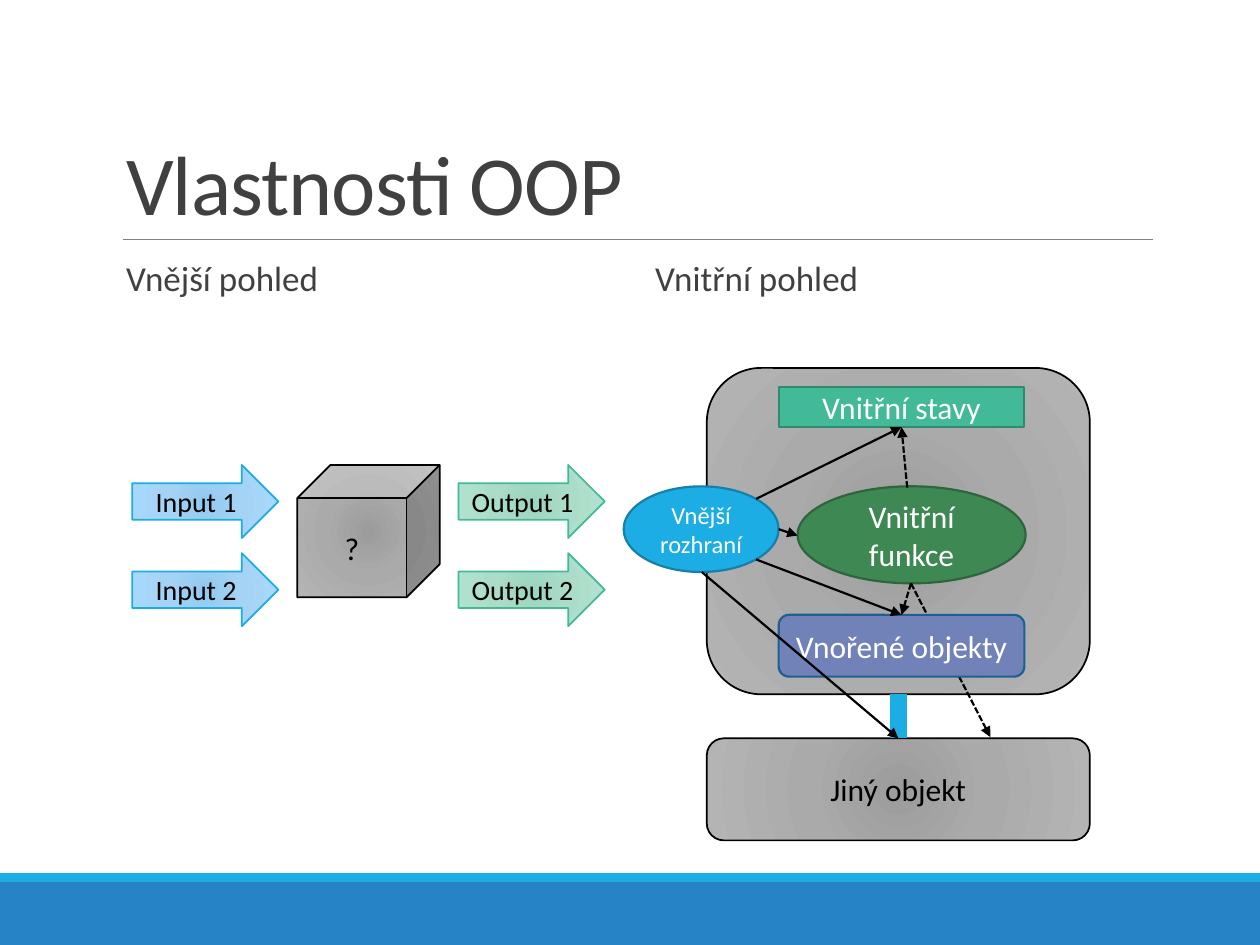
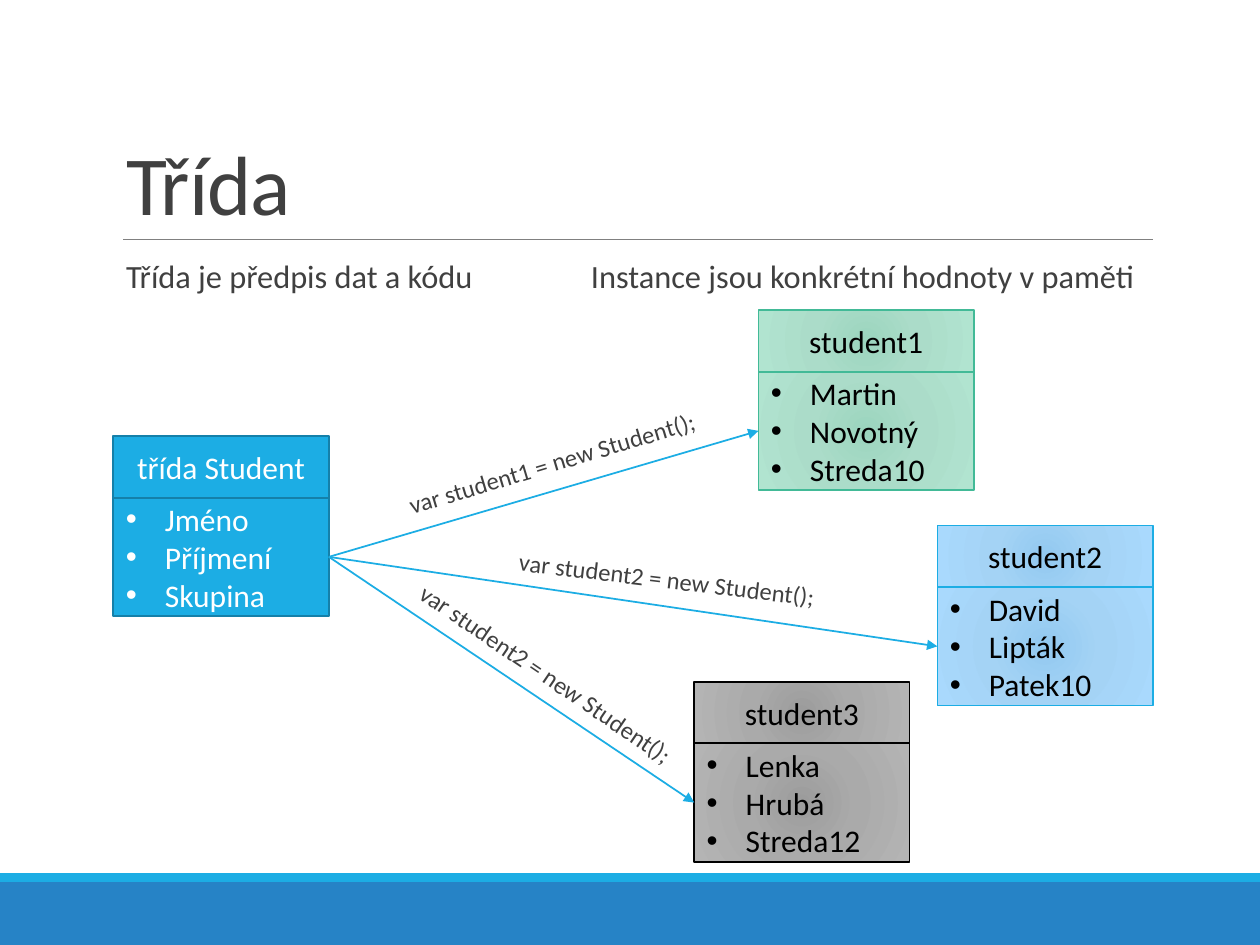
from lxml.etree import SubElement
from pptx import Presentation
from pptx.dml.color import RGBColor
from pptx.enum.dml import MSO_LINE
from pptx.enum.shapes import MSO_CONNECTOR, MSO_SHAPE as Preset
from pptx.enum.text import MSO_ANCHOR as Anchor, MSO_AUTO_SIZE, PP_ALIGN as Align
from pptx.oxml.ns import qn
from pptx.util import Inches, Pt

FONT = "Calibri"
COLORS = {
    "text": "404040", "black": "000000", "white": "FFFFFF", "rule": "808080",
    "band": "2683C6", "sky": "1CADE4", "sky_edge": "1580A9",
    "teal": "42BA97", "teal_edge": "318A70", "green": "3E8853", "green_edge": "2E653D",
    "violet": "7182B8", "violet_edge": "1C6192",
}
# Centre, middle and rim colour of each radial fill
GRADIENTS = {
    "gray": ("9C9C9C", "AAAAAA", "B4B4B4"),
    "pale_blue": ("92C9F0", "A4D3F5", "A9D9FD"),
    "pale_teal": ("9BD5BE", "ABDCC9", "B1E4D0"),
}
STOPS = (0, 45000, 100000)


def rgb(name):
    return RGBColor.from_string(COLORS[name])


def write_text(frame, text, size=18, color="black", align=Align.LEFT, anchor=Anchor.TOP,
               line_spacing=None, left_indent=0, bullet=None, tracking=None, margins=(0.1, 0.05)):
    """Fill a text frame with one paragraph per line of text."""
    frame.word_wrap = True
    frame.auto_size = MSO_AUTO_SIZE.NONE
    frame.vertical_anchor = anchor
    frame.margin_left = frame.margin_right = Inches(margins[0])
    frame.margin_top = frame.margin_bottom = Inches(margins[1])
    for index, line in enumerate(text.split("\n")):
        paragraph = frame.paragraphs[0] if index == 0 else frame.add_paragraph()
        paragraph.alignment = align
        paragraph.space_before = Pt(0)
        if line_spacing:
            paragraph.line_spacing = line_spacing
        properties = paragraph._p.get_or_add_pPr()
        properties.set("marL", str(Inches(left_indent)))
        properties.set("indent", str(Inches(-left_indent if bullet else 0)))
        if bullet:
            SubElement(properties, qn("a:buFont"), typeface="Arial")
            SubElement(properties, qn("a:buChar"), char=bullet)
        else:
            SubElement(properties, qn("a:buNone"))
        run = paragraph.add_run()
        run.text = line
        run.font.name = FONT
        run.font.size = Pt(size)
        run.font.color.rgb = rgb(color)
        if tracking:
            run._r.get_or_add_rPr().set("spc", str(tracking))


class Deck:
    def __init__(self):
        self.presentation = Presentation()
        self.presentation.slide_width = Inches(10)
        self.presentation.slide_height = Inches(7.5)
        self.slide = None

    def new_slide(self, title):
        layout = self.presentation.slide_layouts.get_by_name("Two Content")
        self.slide = self.presentation.slides.add_slide(layout)
        self.shape(Preset.RECTANGLE, (0, 7, 10, 0.5), "band")
        self.shape(Preset.RECTANGLE, (0, 6.93, 10, 0.07), "sky")
        self.line((0.98, 1.9), (9.15, 1.9), color="rule", width=0.5, arrow=False)
        self.placeholder(0, title, (0.9, 0.31, 8.25, 1.59), size=48, color="text",
                         anchor=Anchor.BOTTOM, line_spacing=0.85, tracking=-50)

    def placeholder(self, index, text, box, **text_format):
        shape = self.slide.placeholders[index]
        shape.left, shape.top, shape.width, shape.height = map(Inches, box)
        write_text(shape.text_frame, text, **text_format)

    def heading(self, index, text, box, size):
        self.placeholder(index, text, box, size=size, color="text", line_spacing=0.9,
                         left_indent=0.1, margins=(0, 0.05))

    def shape(self, preset, box, fill, edge=None, text=None, parent=None, **text_format):
        shape = (parent or self.slide).shapes.add_shape(preset, *map(Inches, box))
        shape.shadow.inherit = False
        if fill in GRADIENTS:
            self.radial_fill(shape, GRADIENTS[fill])
        else:
            shape.fill.solid()
            shape.fill.fore_color.rgb = rgb(fill)
        if edge:
            shape.line.color.rgb = rgb(edge)
            shape.line.width = Pt(1 if fill in GRADIENTS else 1.25)
        else:
            shape.line.fill.background()
        if text:
            text_format = {"align": Align.CENTER, "anchor": Anchor.MIDDLE,
                           "color": "black" if fill in GRADIENTS else "white"} | text_format
            write_text(shape.text_frame, text, **text_format)
        return shape

    def radial_fill(self, shape, colors):
        shape.fill.gradient()
        gradient = shape._element.spPr.find(qn("a:gradFill"))
        for child in list(gradient):
            gradient.remove(child)
        stop_list = SubElement(gradient, qn("a:gsLst"))
        for position, color in zip(STOPS, colors):
            stop = SubElement(stop_list, qn("a:gs"), pos=str(position))
            SubElement(stop, qn("a:srgbClr"), val=color)
        circle = SubElement(gradient, qn("a:path"), {"path": "circle"})
        SubElement(circle, qn("a:fillToRect"), dict.fromkeys("ltrb", "100000"))

    def line(self, start, end, color="black", width=1.25, dashed=False, arrow=True):
        """Each end is a point (x, y) or a pair (shape, side)."""
        joins = [not isinstance(place[0], (int, float)) for place in (start, end)]
        points = [(0, 0) if joined else place for joined, place in zip(joins, (start, end))]
        connector = self.slide.shapes.add_connector(
            MSO_CONNECTOR.STRAIGHT, *(Inches(value) for point in points for value in point))
        if joins[0]:
            connector.begin_connect(*start)
        if joins[1]:
            connector.end_connect(*end)
        connector.line.color.rgb = rgb(color)
        connector.line.width = Pt(width)
        if dashed:
            connector.line.dash_style = MSO_LINE.SQUARE_DOT
        if arrow:
            SubElement(connector.line._get_or_add_ln(), qn("a:tailEnd"), type="triangle")
        SubElement(connector._element.spPr, qn("a:effectLst"))

    def label(self, text, box, rotation):
        text_box = self.slide.shapes.add_textbox(*map(Inches, box))
        text_box.rotation = rotation
        write_text(text_box.text_frame, text, size=14, color="text", line_spacing=0.7,
                   left_indent=0.1, margins=(0, 0.05))

    def record(self, left, top, name, fields, fill, edge):
        """A name box over a list of fields; returns the list box."""
        group = self.slide.shapes.add_group_shape()
        self.shape(Preset.RECTANGLE, (left, top, 1.71, 0.49), fill, edge, name, group)
        return self.shape(Preset.RECTANGLE, (left, top + 0.49, 1.71, 0.94), fill, edge,
                          "\n".join(fields), group, align=Align.LEFT, bullet="•", left_indent=0.31)


def build_properties(deck):
    deck.new_slide("Vlastnosti OOP")
    deck.heading(1, "Vnější pohled", (0.9, 2.02, 4.05, 4.4), 20)
    deck.heading(2, "Vnitřní pohled", (5.1, 2.02, 4.05, 4.4), 20)

    # Outer view: a black box with inputs and outputs
    deck.shape(Preset.CUBE, (2.36, 3.69, 1.13, 1.05), "gray", "black", "?")
    for left, word, fill, edge in ((1.05, "Input", "pale_blue", "sky"),
                                   (3.64, "Output", "pale_teal", "teal")):
        for row in range(2):
            deck.shape(Preset.RIGHT_ARROW, (left, 3.69 + 0.7 * row, 1.16, 0.58), fill, edge,
                       f"{word} {row + 1}", size=16)

    # Inner view: the parts of the object
    whole = deck.shape(Preset.ROUNDED_RECTANGLE, (5.61, 2.92, 3.04, 2.59), "gray", "black")
    deck.shape(Preset.OVAL, (4.95, 3.86, 1.23, 0.68), "sky", "sky_edge",
               "Vnější rozhraní", size=14)
    states = deck.shape(Preset.RECTANGLE, (6.18, 3.07, 1.95, 0.32), "teal", "teal_edge",
                        "Vnitřní stavy")
    deck.shape(Preset.OVAL, (6.33, 3.86, 1.81, 0.77), "green", "green_edge", "Vnitřní funkce")
    other = deck.shape(Preset.ROUNDED_RECTANGLE, (5.61, 5.86, 3.04, 0.81), "gray", "black",
                       "Jiný objekt")

    # This call passes behind the nested objects
    function_bottom = (7.23, 4.63)
    deck.line(function_bottom, (7.86, 5.85), dashed=True)
    nested = deck.shape(Preset.ROUNDED_RECTANGLE, (6.18, 4.88, 1.95, 0.49), "violet",
                        "violet_edge", "Vnořené objekty")

    # Calls from the functions and from the interface
    deck.line((7.2, 3.87), (states, 0 + 2), dashed=True)
    deck.line(function_bottom, (nested, 0), dashed=True)
    deck.line((6, 4.44), (nested, 0))
    deck.line((6, 3.96), (states, 2))
    deck.line((6.18, 4.2), (6.33, 4.25))
    deck.line((whole, 2), (other, 0), color="sky", width=9.75, arrow=False)
    deck.line((5.57, 4.54), (other, 0))


def build_class(deck):
    deck.new_slide("Třída")
    deck.heading(1, "Třída je předpis dat a kódu", (0.9, 2.02, 3.36, 1.08), 18.5)
    deck.heading(2, "Instance jsou konkrétní hodnoty v paměti", (4.59, 2.02, 4.56, 0.55), 18.5)

    # The class and its instances
    student_class = deck.record(0.9, 3.46, "třída Student", ("Jméno", "Příjmení", "Skupina"),
                                "sky", "sky_edge")
    instances = (
        (6.02, 2.46, "student1", ("Martin", "Novotný", "Streda10"), "pale_teal", "teal"),
        (7.44, 4.17, "student2", ("David", "Lipták", "Patek10"), "pale_blue", "sky"),
        (5.51, 5.41, "student3", ("Lenka", "Hrubá", "Streda12"), "gray", "black"),
    )
    for instance in instances:
        deck.line((student_class, 3), (deck.record(*instance), 1), color="sky", width=1)

    # Code that creates each instance
    for name, left, top, rotation in (("student1", 3.11, 3.57, 343.2),
                                      ("student2", 4.01, 4.49, 6.8),
                                      ("student2", 3.04, 5.23, 34.1)):
        deck.label(f"var {name} = new Student();", (left, top, 2.53, 0.27), rotation)


def main():
    deck = Deck()
    build_properties(deck)
    build_class(deck)
    deck.presentation.save("out.pptx")


if __name__ == "__main__":
    main()
